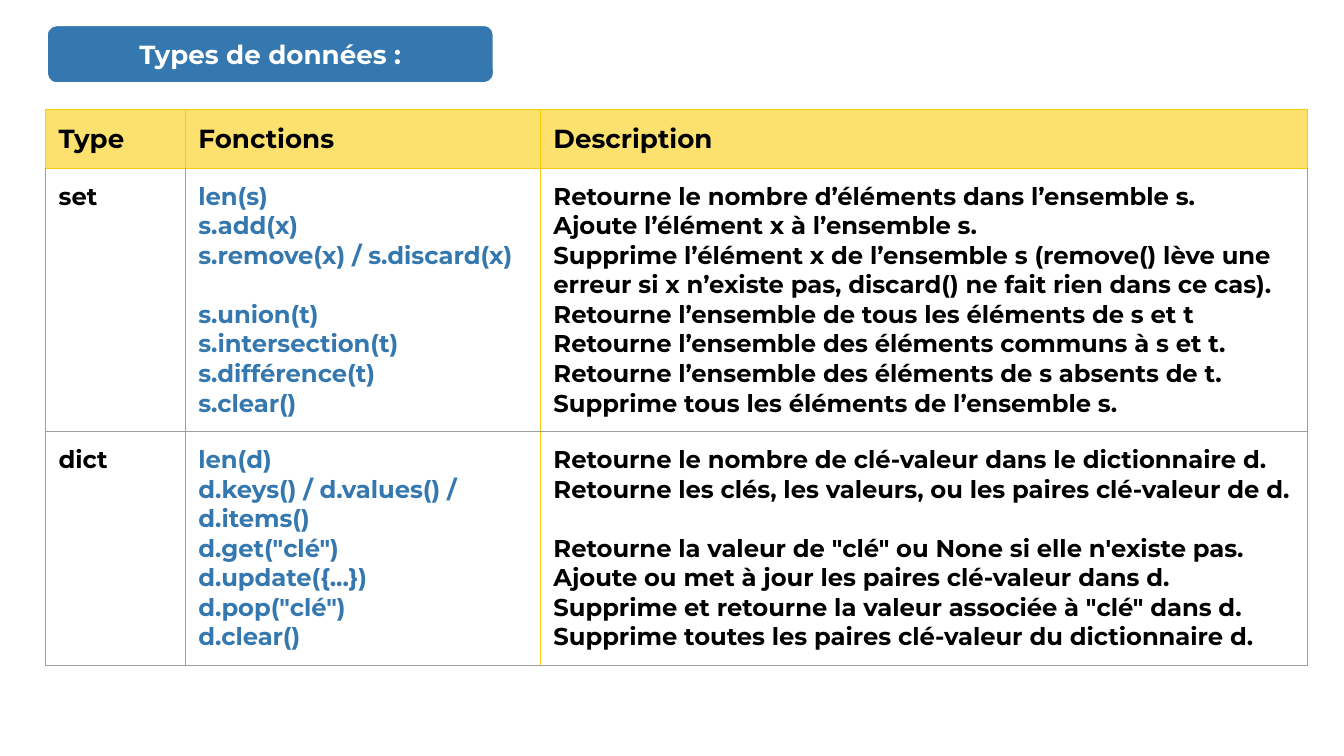
from dataclasses import dataclass

from lxml.etree import SubElement
from pptx import Presentation
from pptx.dml.color import RGBColor
from pptx.enum.shapes import MSO_SHAPE
from pptx.enum.text import MSO_ANCHOR, MSO_AUTO_SIZE, PP_ALIGN
from pptx.oxml import parse_xml
from pptx.oxml.ns import nsdecls, qn
from pptx.util import Cm, Pt

BLUE = RGBColor(0x34, 0x78, 0xAF)
YELLOW = RGBColor(0xFB, 0xCC, 0x06)
GRAY = RGBColor(0x9E, 0x9E, 0x9E)
BLACK = RGBColor(0, 0, 0)
WHITE = RGBColor(0xFF, 0xFF, 0xFF)
FONT = "Montserrat"
LINE_GAP = 15.85
INSET = Cm(0.25)
HEADERS = ("Type", "Fonctions", "Description")
COL_WIDTHS = (2.64, 6.71, 14.5)
HEADER_HEIGHT = 1.11


@dataclass(frozen=True)
class TypeRow:
    name: str
    functions: tuple[str, ...]
    descriptions: tuple[str, ...]
    height: float
    function_gap: int | None = None
    description_gap: int | None = None


ROWS = (
    TypeRow(
        "set",
        ("len(s)", "s.add(x)", "s.remove(x) / s.discard(x)", "s.union(t)",
         "s.intersection(t)", "s.différence(t)", "s.clear()"),
        ("Retourne le nombre d’éléments dans l’ensemble s.",
         "Ajoute l’élément x à l’ensemble s.",
         "Supprime l’élément x de l’ensemble s (remove() lève une erreur "
         "si x n’existe pas, discard() ne fait rien dans ce cas).",
         "Retourne l’ensemble de tous les éléments de s et t",
         "Retourne l’ensemble des éléments communs à s et t.",
         "Retourne l’ensemble des éléments de s absents de t.",
         "Supprime tous les éléments de l’ensemble s."),
        4.98, function_gap=3),
    TypeRow(
        "dict",
        ("len(d)", "d.keys() / d.values() / d.items()", 'd.get("clé")',
         "d.update({...})", 'd.pop("clé")', "d.clear()"),
        ("Retourne le nombre de clé-valeur dans le dictionnaire d.",
         "Retourne les clés, les valeurs, ou les paires clé-valeur de d.",
         'Retourne la valeur de "clé" ou None si elle n\'existe pas.',
         "Ajoute ou met à jour les paires clé-valeur dans d.",
         'Supprime et retourne la valeur associée à "clé" dans d.',
         "Supprime toutes les paires clé-valeur du dictionnaire d."),
        4.42, description_gap=2),
)


def write(tf, *lines: str, size: float = 13, color: RGBColor = BLACK,
          align=PP_ALIGN.LEFT, gap_before: int | None = None) -> None:
    tf.word_wrap = True
    for i, line in enumerate(lines):
        p = tf.paragraphs[0] if i == 0 else tf.add_paragraph()
        p.alignment = align
        p.space_before = Pt(LINE_GAP if i and i == gap_before else 0)
        r = p.add_run()
        r.text = line
        r.font.name = FONT
        r.font.size = Pt(size)
        r.font.bold = True
        r.font.color.rgb = color


def set_margins(box) -> None:
    box.margin_left = box.margin_right = INSET
    box.margin_top = box.margin_bottom = INSET


def set_borders(cell, **colors: RGBColor) -> None:
    tc_pr = cell._tc.get_or_add_tcPr()
    for i, (side, color) in enumerate(colors.items()):
        tc_pr.insert(i, parse_xml(
            f'<a:ln{side} {nsdecls("a")} w="{Pt(0.75)}"><a:solidFill>'
            f'<a:srgbClr val="{color}"/></a:solidFill></a:ln{side}>'))


def add_title(s, text: str) -> None:
    box = Cm(0.88), Cm(0.47), Cm(8.46), Cm(1.11)
    sp = s.shapes.add_shape(MSO_SHAPE.ROUNDED_RECTANGLE, *box)
    sp.shadow.inherit = False
    sp.fill.solid()
    sp.fill.fore_color.rgb = BLUE
    sp.line.color.rgb = WHITE
    sp.line.width = Pt(1.5)
    title = s.shapes.title
    title.left, title.top, title.width, title.height = box
    sp._element.addnext(title._element)
    tf = title.text_frame
    tf.auto_size = MSO_AUTO_SIZE.NONE
    tf.vertical_anchor = MSO_ANCHOR.MIDDLE
    set_margins(tf)
    write(tf, text, size=14, color=WHITE, align=PP_ALIGN.CENTER)


def add_type_table(s, rows: tuple[TypeRow, ...]) -> None:
    heights = [HEADER_HEIGHT, *(row.height for row in rows)]
    frame = s.shapes.add_table(len(heights), len(COL_WIDTHS), Cm(0.86), Cm(2.07),
                               Cm(sum(COL_WIDTHS)), Cm(sum(heights)))
    table = frame.table
    for column, width in zip(table.columns, COL_WIDTHS):
        column.width = Cm(width)
    for table_row, height in zip(table.rows, heights):
        table_row.height = Cm(height)

    for i, header in enumerate(HEADERS):
        cell = table.cell(0, i)
        set_margins(cell)
        write(cell.text_frame, header, size=14)
        cell.fill.solid()
        cell.fill.fore_color.rgb = YELLOW
        color = cell._tc.tcPr.find(f".//{qn('a:srgbClr')}")
        SubElement(color, qn("a:alpha")).set("val", "58000")
        set_borders(cell, L=YELLOW, R=YELLOW, T=YELLOW, B=YELLOW)

    for i, row in enumerate(rows, 1):
        contents = (
            ((row.name,), BLACK, None),
            (row.functions, BLUE, row.function_gap),
            (row.descriptions, BLACK, row.description_gap),
        )
        for j, (lines, color, gap) in enumerate(contents):
            cell = table.cell(i, j)
            set_margins(cell)
            write(cell.text_frame, *lines, color=color, gap_before=gap)
            cell.fill.background()
            set_borders(cell, L=YELLOW if j == 2 else GRAY,
                        R=YELLOW if j == 1 else GRAY,
                        T=YELLOW if i == 1 else GRAY, B=GRAY)


def main() -> None:
    prs = Presentation()
    prs.slide_width, prs.slide_height = Cm(25.4), Cm(14.29)
    s = prs.slides.add_slide(prs.slide_layouts[5])
    add_type_table(s, ROWS)
    add_title(s, "Types de données :")
    prs.save("out.pptx")


if __name__ == "__main__":
    main()
